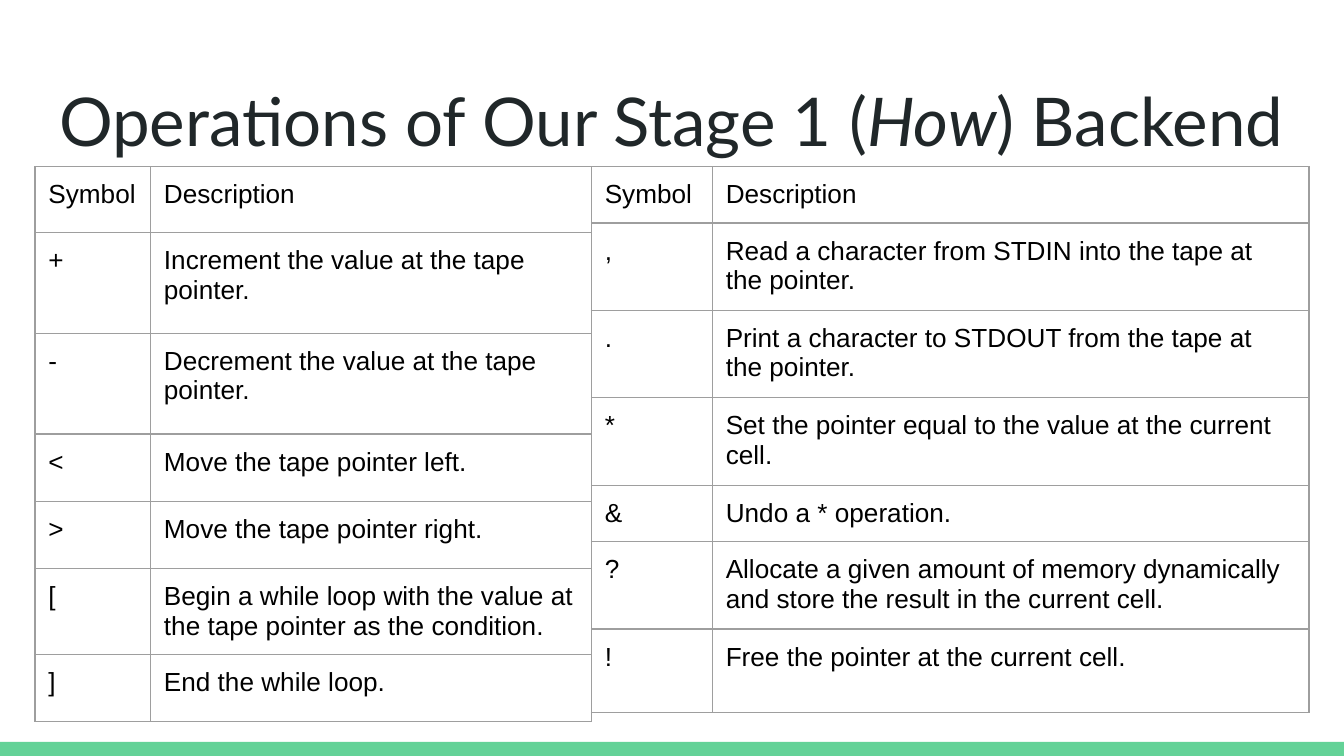
from lxml.etree import SubElement as Sub
from pptx import Presentation
from pptx.dml.color import RGBColor as Rgb
from pptx.enum.shapes import MSO_SHAPE as Shape
from pptx.enum.text import MSO_ANCHOR as Anchor, MSO_AUTO_SIZE as Auto, PP_ALIGN as Align
from pptx.oxml.ns import qn
from pptx.util import Inches, Pt

HUES = {"bar": "63D297", "title": "202729", "text": "000000", "edge": "9E9E9E"}
PAD = {f"margin_{side}": Inches(0.1) for side in ("left", "right", "top", "bottom")}
FRAME = PAD | {"word_wrap": True, "auto_size": Auto.NONE, "vertical_anchor": Anchor.TOP}
HEAD = {"name": "Lato", "size": Pt(36), "bold": False}
BODY = {"name": "Arial", "size": Pt(14), "bold": False}
WIDE = 10
HIGH = WIDE * 9 / 16
TOP = 1.24

LEFT = [
    ("Symbol", "Description", 0.49),
    ("+", "Increment the value at the tape pointer.", 0.75),
    ("-", "Decrement the value at the tape pointer.", 0.75),
    ("<", "Move the tape pointer left.", 0.5),
    (">", "Move the tape pointer right.", 0.5),
    ("[", "Begin a while loop with the value at the tape pointer as the condition.", 0.54),
    ("]", "End the while loop.", 0.5),
]
RIGHT = [
    ("Symbol", "Description", 0.42),
    (",", "Read a character from STDIN into the tape at the pointer.", 0.65),
    (".", "Print a character to STDOUT from the tape at the pointer.", 0.65),
    ("*", "Set the pointer equal to the value at the current cell.", 0.65),
    ("&", "Undo a * operation.", 0.42),
    ("?", "Allocate a given amount of memory dynamically and store the result in the current cell.", 0.65),
    ("!", "Free the pointer at the current cell.", 0.62),
]


def apply(item, props):
    for key, val in props.items():
        setattr(item, key, val)


def add_run(para, text, props, hue, **more):
    run = para.add_run()
    run.text = text
    apply(run.font, props | more)
    run.font.color.rgb = Rgb.from_string(HUES[hue])


def add_title(slide):
    title = slide.shapes.title
    apply(title, {"left": Inches(0.34), "top": Inches(0.49),
                  "width": Inches(9.32), "height": Inches(0.63)})
    apply(title.text_frame, FRAME)
    para = title.text_frame.paragraphs[0]
    para.alignment = Align.LEFT
    for text, slant in (("Operations of Our Stage 1 (", False), ("How", True), (") Backend", False)):
        add_run(para, text, HEAD, "title", italic=slant)


def add_bar(slide):
    bar = slide.shapes.add_shape(Shape.RECTANGLE, 0, Inches(5.52), Inches(WIDE), Inches(0.11))
    bar.shadow.inherit = False
    bar.fill.solid()
    bar.fill.fore_color.rgb = Rgb.from_string(HUES["bar"])
    bar.line.fill.background()


def add_edges(cell):
    props = cell._tc.get_or_add_tcPr()
    for side in "LRTB":
        line = Sub(props, qn(f"a:ln{side}"), w=str(Pt(0.75)))
        fill = Sub(line, qn("a:solidFill"))
        Sub(fill, qn("a:srgbClr"), val=HUES["edge"])


def add_cell(cell, text):
    apply(cell, PAD)
    add_edges(cell)
    cell.fill.background()
    add_run(cell.text_frame.paragraphs[0], text, BODY, "text")


def add_grid(slide, left, wides, rows):
    high = sum(row[-1] for row in rows)
    grid = slide.shapes.add_table(len(rows), len(wides), Inches(left), Inches(TOP),
                                  Inches(sum(wides)), Inches(high)).table
    apply(grid, {"first_row": False, "horz_banding": False})
    for col, wide in zip(grid.columns, wides):
        col.width = Inches(wide)
    for row, (*texts, tall) in zip(grid.rows, rows):
        row.height = Inches(tall)
        for cell, text in zip(row.cells, texts):
            add_cell(cell, text)


def main():
    deck = Presentation()
    apply(deck, {"slide_width": Inches(WIDE), "slide_height": Inches(HIGH)})
    slide = deck.slides.add_slide(deck.slide_layouts[5])
    add_bar(slide)
    add_title(slide)
    add_grid(slide, 0.26, (0.86, 3.28), LEFT)
    add_grid(slide, 4.4, (0.9, 4.44), RIGHT)
    deck.save("out.pptx")


if __name__ == "__main__":
    main()
